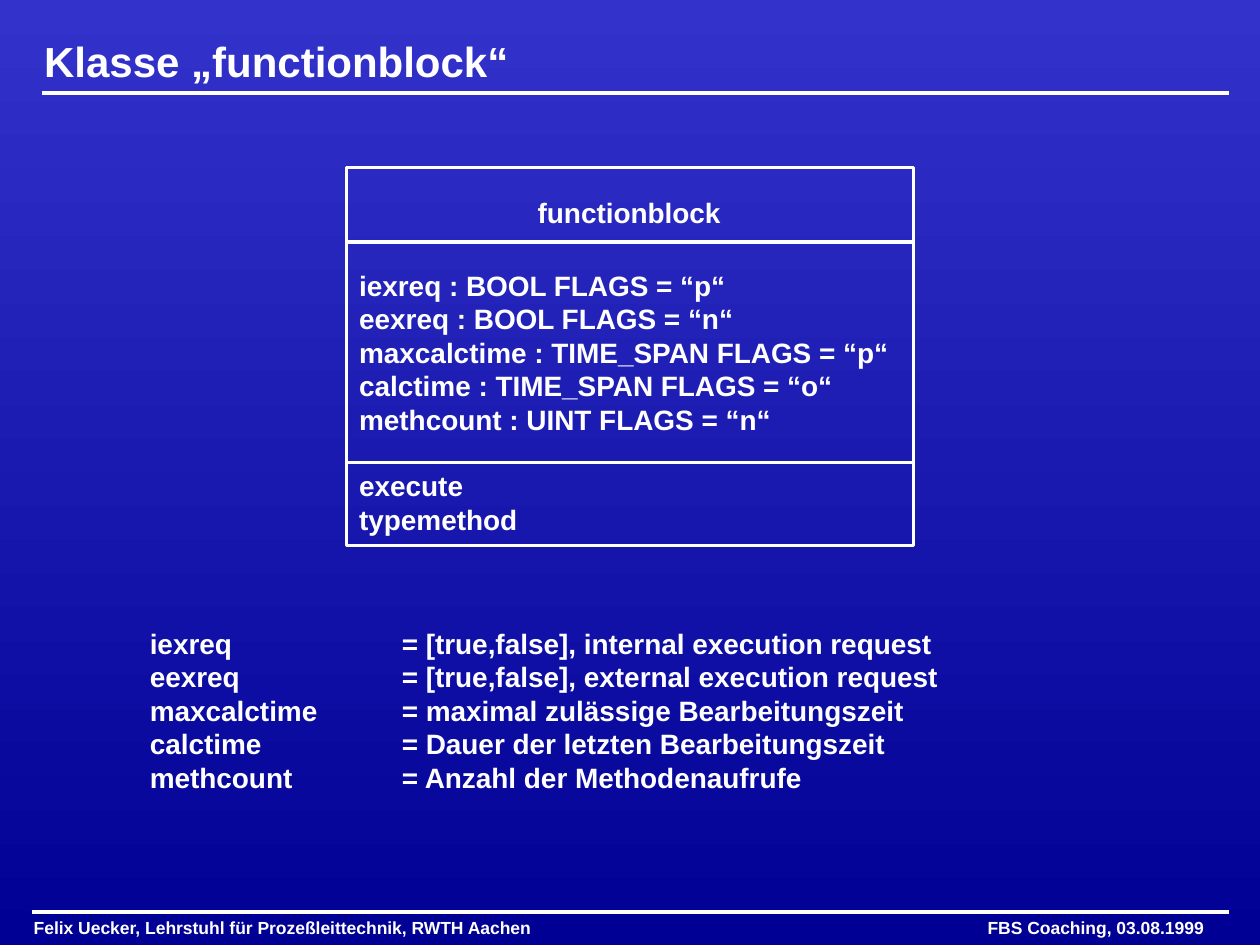
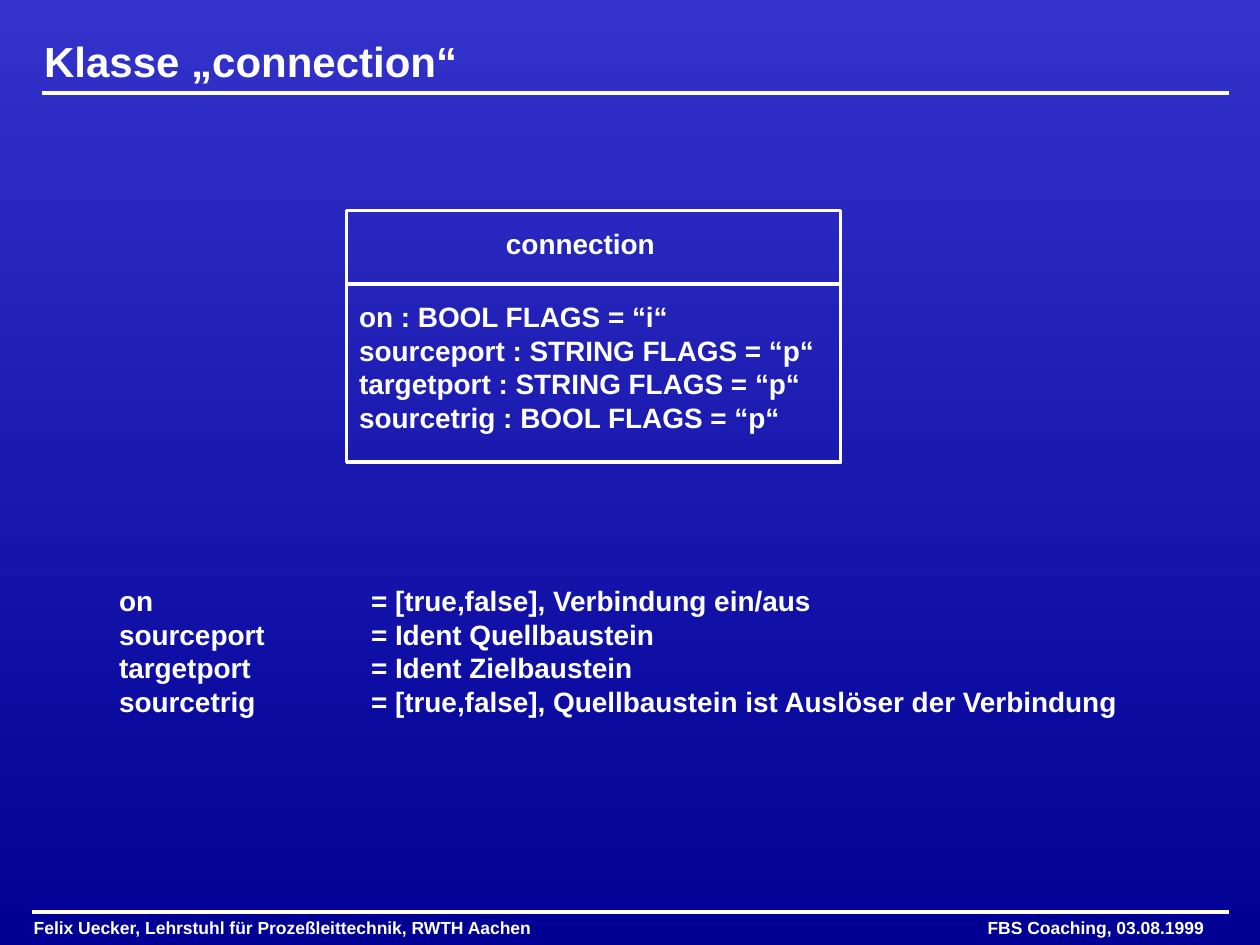
from lxml import etree
from pptx import Presentation
from pptx.dml.color import RGBColor
from pptx.enum.shapes import MSO_CONNECTOR, MSO_SHAPE
from pptx.enum.text import MSO_ANCHOR
from pptx.oxml.ns import qn
from pptx.util import Cm, Pt

WHITE = RGBColor(0xFF, 0xFF, 0xFF)
TOP = RGBColor(0x33, 0x33, 0xCC)
BASE = RGBColor(0x00, 0x00, 0x94)

FONT = {"name": "Arial", "bold": True}
RULE = Pt(2)
LEFT = 6.99  # left edge of each class box
FOOT = "Felix Uecker, Lehrstuhl für Prozeßleittechnik, RWTH Aachen\tFBS Coaching, 03.08.1999"

# One entry per slide; all lengths in cm, rows are the dividers of the class box
PAGES = [
    {
        "name": "functionblock",
        "box": (3.38, 11.43, 7.62),
        "rows": [4.88, 9.32],
        "label": (10.59, 3.81, 4.6, 0.94),
        "parts": [
            (5.28, ["iexreq : BOOL FLAGS = “p“",
                    "eexreq : BOOL FLAGS = “n“",
                    "maxcalctime : TIME_SPAN FLAGS = “p“",
                    "calctime : TIME_SPAN FLAGS = “o“",
                    "methcount : UINT FLAGS = “n“"]),
            (9.32, ["execute", "typemethod"]),
        ],
        "terms": (2.77, 12.5, 18, 3.66),
        "notes": ["iexreq\t= [true,false], internal execution request",
                  "eexreq\t= [true,false], external execution request",
                  "maxcalctime\t= maximal zulässige Bearbeitungszeit",
                  "calctime\t= Dauer der letzten Bearbeitungszeit",
                  "methcount\t= Anzahl der Methodenaufrufe"],
    },
    {
        "name": "connection",
        "box": (4.24, 9.96, 5.08),
        "rows": [5.72],
        "label": (9.95, 4.45, 4, 0.94),
        "parts": [
            (5.92, ["on : BOOL FLAGS = “i“",
                    "sourceport : STRING FLAGS = “p“",
                    "targetport : STRING FLAGS = “p“",
                    "sourcetrig : BOOL FLAGS = “p“"]),
        ],
        "terms": (2.15, 11.64, 22, 2.97),
        "notes": ["on\t= [true,false], Verbindung ein/aus",
                  "sourceport\t= Ident Quellbaustein",
                  "targetport\t= Ident Zielbaustein",
                  "sourcetrig\t= [true,false], Quellbaustein ist Auslöser der Verbindung"],
    },
]


def write(shapes, box, lines, size=16, tab=None, anchor=MSO_ANCHOR.TOP):
    frame = shapes.add_textbox(*map(Cm, box)).text_frame
    frame.word_wrap = True
    frame.vertical_anchor = anchor
    frame.text = "\n".join(lines)
    for para in frame.paragraphs:
        for key, val in {**FONT, "size": Pt(size)}.items():
            setattr(para.font, key, val)
        para.font.color.rgb = WHITE
        for run in para.runs:
            for key, val in {**FONT, "size": Pt(size)}.items():
                setattr(run.font, key, val)
            run.font.color.rgb = WHITE
        if tab:
            # The tab list has to come before the default run format
            stops = etree.Element(qn("a:tabLst"))
            etree.SubElement(stops, qn("a:tab"), pos=str(Cm(tab)), algn="l")
            para._p.get_or_add_pPr().insert(0, stops)


def rule(shapes, start, end, level):
    line = shapes.add_connector(MSO_CONNECTOR.STRAIGHT,
                                Cm(start), Cm(level), Cm(end), Cm(level))
    line.line.color.rgb = WHITE
    line.line.width = RULE
    etree.SubElement(line._element.spPr, qn("a:effectLst"))


deck = Presentation()
deck.slide_width, deck.slide_height = Cm(25.4), Cm(19.05)

# Shared background, light at the top
fill = deck.slide_master.background.fill
fill.gradient()
fill.gradient_angle = 270
for stop, tone, place in zip(fill.gradient_stops, (TOP, BASE), (0, 1)):
    stop.color.rgb = tone
    stop.position = place

for page in PAGES:
    slide = deck.slides.add_slide(deck.slide_layouts[6])
    shapes = slide.shapes

    # Title and footer with their rules
    write(shapes, (0.64, 0.61, 24.13, 1.22), [f"Klasse „{page['name']}“"],
          size=24, anchor=MSO_ANCHOR.MIDDLE)
    rule(shapes, 0.84, 24.77, 1.88)
    write(shapes, (0.43, 18.36, 24.13, 0.69), [FOOT], size=10, tab=19.23)
    rule(shapes, 0.64, 24.77, 18.39)

    # Class box: outline, dividers, name and members
    group = shapes.add_group_shape().shapes
    top, width, height = page["box"]
    frame = group.add_shape(MSO_SHAPE.RECTANGLE, Cm(LEFT), Cm(top), Cm(width), Cm(height))
    frame.shadow.inherit = False
    frame.fill.background()
    frame.line.color.rgb = WHITE
    frame.line.width = RULE
    for level in page["rows"]:
        rule(group, LEFT, LEFT + width, level)
    write(group, page["label"], [page["name"]])
    for level, lines in page["parts"]:
        write(group, (LEFT, level, width, 0.25 + 0.68 * len(lines)), lines)

    # Meaning of each member
    write(shapes, page["terms"], page["notes"], tab=5.08)

deck.save("out.pptx")
